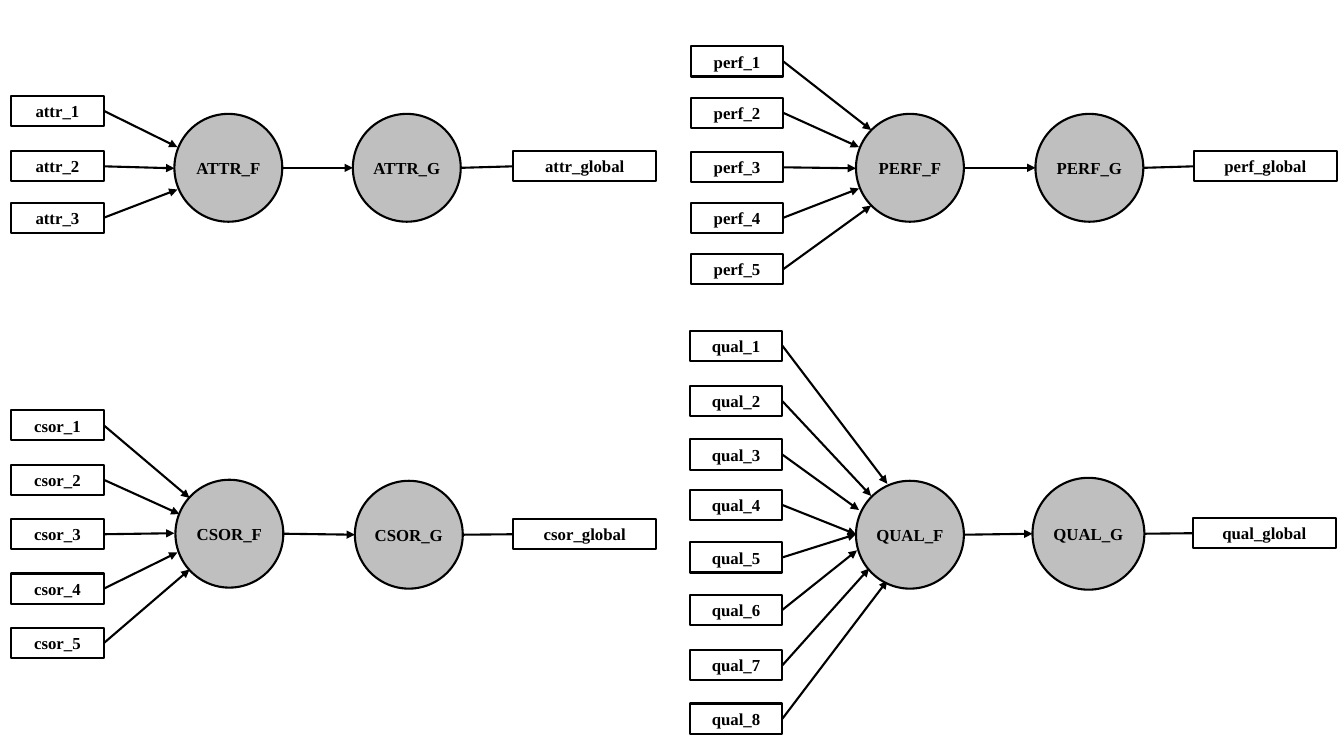
"""Draw four networks, each joining input boxes to two nodes and a global output."""
from dataclasses import dataclass
from pptx import Presentation
from pptx.dml.color import RGBColor as RGB
from pptx.enum.shapes import MSO_CONNECTOR as Link, MSO_SHAPE as Kind
from pptx.enum.text import MSO_ANCHOR as Anchor, PP_ALIGN as Align
from pptx.oxml.ns import qn
from pptx.util import Inches, Pt
from lxml.etree import SubElement as Sub


@dataclass
class Theme:
    ink: RGB = RGB(0, 0, 0)
    node: RGB = RGB(0xBF, 0xBF, 0xBF)
    font: str = "Times New Roman"
    size: Pt = Pt(12)
    line: Pt = Pt(1.5)


theme = Theme()
deck = Presentation()
deck.slide_width, deck.slide_height = Inches(13.33), Inches(7.5)
slide = deck.slides.add_slide(deck.slide_layouts[6])
shapes = slide.shapes


def add_label(kind, text, x, y, w, h, fill=None):
    item = shapes.add_shape(kind, Inches(x), Inches(y), Inches(w), Inches(h))
    item.shadow.inherit = False
    if fill is None:
        item.fill.background()
    else:
        item.fill.solid()
        item.fill.fore_color.rgb = fill
    item.line.color.rgb, item.line.width = theme.ink, theme.line
    frame = item.text_frame
    frame.word_wrap = True
    frame.vertical_anchor = Anchor.MIDDLE
    frame.margin_left = frame.margin_right = 0
    frame.margin_top = frame.margin_bottom = Inches(0.05)
    para = frame.paragraphs[0]
    para.text, para.alignment = text, Align.CENTER
    font = para.font
    font.name, font.size, font.bold = theme.font, theme.size, True
    font.color.rgb = theme.ink


def add_link(x1, y1, x2, y2, arrow=True):
    ends = [Inches(v) for v in (x1, y1, x2, y2)]
    link = shapes.add_connector(Link.STRAIGHT, *ends)
    link.line.color.rgb, link.line.width = theme.ink, theme.line
    props = link._element.spPr
    Sub(props, qn("a:effectLst"))
    if arrow:
        Sub(props.find(qn("a:ln")), qn("a:tailEnd"), type="triangle")


box_w, box_h, out_w, node_d = 0.92, 0.3, 1.42, 1.07
mid = box_h / 2

# name, input left, F node, G node and its size, output, (input top, arrow tip)
nets = [
    ("attr", 0.11, (1.73, 1.13), (3.5, 1.13), node_d, (5.09, 1.5),
     [(0.95, 1.76, 1.46), (1.5, 1.73, 1.67), (2.01, 1.76, 1.88)]),
    ("csor", 0.11, (1.74, 4.76), (3.52, 4.77), node_d, (5.09, 5.15),
     [(4.07, 1.88, 4.94), (4.61, 1.78, 5.1), (5.15, 1.73, 5.29),
      (5.69, 1.76, 5.48), (6.23, 1.88, 5.65)]),
    ("perf", 6.85, (8.49, 1.13), (10.27, 1.13), node_d, (11.84, 1.5),
     [(0.46, 8.64, 1.29), (0.97, 8.52, 1.46), (1.51, 8.49, 1.67),
      (2.01, 8.52, 1.87), (2.52, 8.64, 2.04)]),
    ("qual", 6.84, (8.49, 4.77), (10.24, 4.74), 1.11, (11.83, 5.14),
     [(3.28, 8.8, 4.8), (3.83, 8.64, 4.92), (4.36, 8.52, 5.06),
      (4.86, 8.49, 5.3), (5.38, 8.49, 5.3), (5.9, 8.5, 5.46),
      (6.45, 8.62, 5.64), (6.98, 8.8, 5.76)]),
]

for name, left, (fx, fy), (gx, gy), g_d, (ox, oy), feeds in nets:
    f_mid, g_mid = fy + node_d / 2, gy + g_d / 2
    for i, (top, tip_x, tip_y) in enumerate(feeds, 1):
        add_label(Kind.RECTANGLE, f"{name}_{i}", left, top, box_w, box_h)
        add_link(left + box_w, top + mid, tip_x, tip_y)
    add_link(fx + node_d, f_mid, gx, g_mid)
    add_link(gx + g_d, g_mid, ox, oy + mid, arrow=False)
    add_label(Kind.RECTANGLE, f"{name}_global", ox, oy, out_w, box_h)
    add_label(Kind.OVAL, f"{name.upper()}_F", fx, fy, node_d, node_d, theme.node)
    add_label(Kind.OVAL, f"{name.upper()}_G", gx, gy, g_d, g_d, theme.node)

deck.save("out.pptx")
